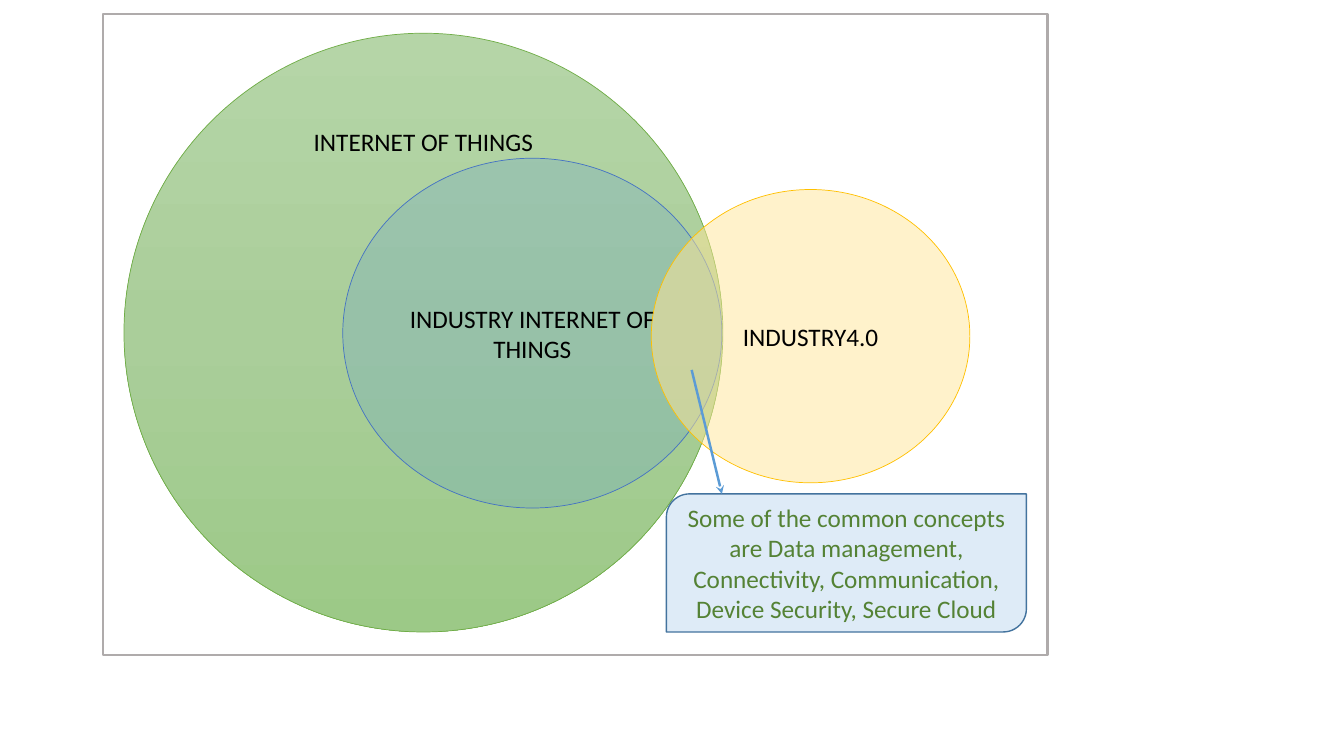
from copy import deepcopy

from lxml.etree import SubElement
from pptx import Presentation
from pptx.dml.color import RGBColor
from pptx.enum.shapes import MSO_CONNECTOR, MSO_SHAPE
from pptx.enum.text import MSO_ANCHOR, PP_ALIGN
from pptx.oxml.ns import qn
from pptx.util import Inches, Pt


def color(hex_code):
    return RGBColor.from_string(hex_code)


def write_text(shape, text, size=18, font="Calibri", text_color="000000",
               anchor=MSO_ANCHOR.MIDDLE, align=PP_ALIGN.CENTER):
    frame = shape.text_frame
    frame.word_wrap = True
    frame.vertical_anchor = anchor
    para = frame.paragraphs[0]
    para.alignment = align
    span = para.add_run()
    span.text = text
    span.font.size = Pt(size)
    span.font.name = font
    span.font.color.rgb = color(text_color)


class DiagramBuilder:
    """Holds the diagram's style and draws on the current slide."""

    arrow_color = "5B9BD5"
    arrow_width = 1.75

    def __init__(self, slide):
        self.shapes = slide.shapes.add_group_shape().shapes

    def box(self, preset, left, top, width, height, line, line_width, fill=None, opacity=None):
        shape = self.shapes.add_shape(
            preset, Inches(left), Inches(top), Inches(width), Inches(height))
        shape.shadow.inherit = False
        shape.line.color.rgb = color(line)
        shape.line.width = Pt(line_width)
        if fill is None:
            shape.fill.background()
        else:
            shape.fill.solid()
            shape.fill.fore_color.rgb = color(fill)
        if opacity is not None:
            fill_color = shape.fill._xPr.find(qn("a:solidFill"))[0]
            SubElement(fill_color, qn("a:alpha"), val=str(opacity * 1000))
        return shape

    def circle(self, left, top, width, height, line, **fill_format):
        return self.box(MSO_SHAPE.OVAL, left, top, width, height, line, 0.5, **fill_format)

    def vertical_gradient(self, shape, stop_colors):
        shape.fill.gradient()
        shape.fill.gradient_angle = 270
        stop_list = next(shape._element.iter(qn("a:gsLst")))
        while len(stop_list) < len(stop_colors):
            stop_list.append(deepcopy(stop_list[0]))
        for index, (stop, hex_code) in enumerate(zip(shape.fill.gradient_stops, stop_colors)):
            stop.position = index / (len(stop_colors) - 1)
            stop.color.rgb = color(hex_code)

    def arrow(self, start_x, start_y, end_x, end_y):
        connector = self.shapes.add_connector(
            MSO_CONNECTOR.STRAIGHT,
            Inches(start_x), Inches(start_y), Inches(end_x), Inches(end_y))
        connector.line.color.rgb = color(self.arrow_color)
        connector.line.width = Pt(self.arrow_width)
        SubElement(connector.line._get_or_add_ln(), qn("a:tailEnd"), type="stealth")
        SubElement(connector._element.spPr, qn("a:effectLst"))


def main():
    deck = Presentation()
    deck.slide_width = Inches(13.33)
    deck.slide_height = Inches(7.5)
    page = deck.slides.add_slide(deck.slide_layouts[6])
    diagram = DiagramBuilder(page)

    # Overlapping circles
    internet = diagram.circle(1.23, 0.33, 5.94, 5.94, line="70AD47")
    diagram.vertical_gradient(internet, ["B5D5A7", "AACE9A", "9CC987"])
    write_text(internet, "INTERNET OF THINGS", anchor=MSO_ANCHOR.TOP)

    industrial = diagram.circle(3.4, 1.57, 3.76, 3.47, line="4472C4", fill="5B9BD5", opacity=24)
    write_text(industrial, "INDUSTRY INTERNET OF THINGS")

    industry = diagram.circle(6.46, 1.88, 3.16, 2.91, line="FFC000", fill="FFE699", opacity=51)
    write_text(industry, "INDUSTRY4.0")

    # Note on the overlap
    note = diagram.box(MSO_SHAPE.ROUND_2_DIAG_RECTANGLE, 6.61, 4.9, 3.57, 1.37,
                       line="43739E", line_width=1, fill="DEEBF7")
    write_text(note, "Some of the common concepts are Data management, Connectivity, "
                     "Communication, Device Security, Secure Cloud", text_color="548235")
    diagram.arrow(6.86, 3.67, 7.16, 4.9)

    # Frame around the diagram
    diagram.box(MSO_SHAPE.RECTANGLE, 1.02, 0.14, 9.37, 6.36, line="AFABAB", line_width=1.5)

    deck.save("out.pptx")


if __name__ == "__main__":
    main()
